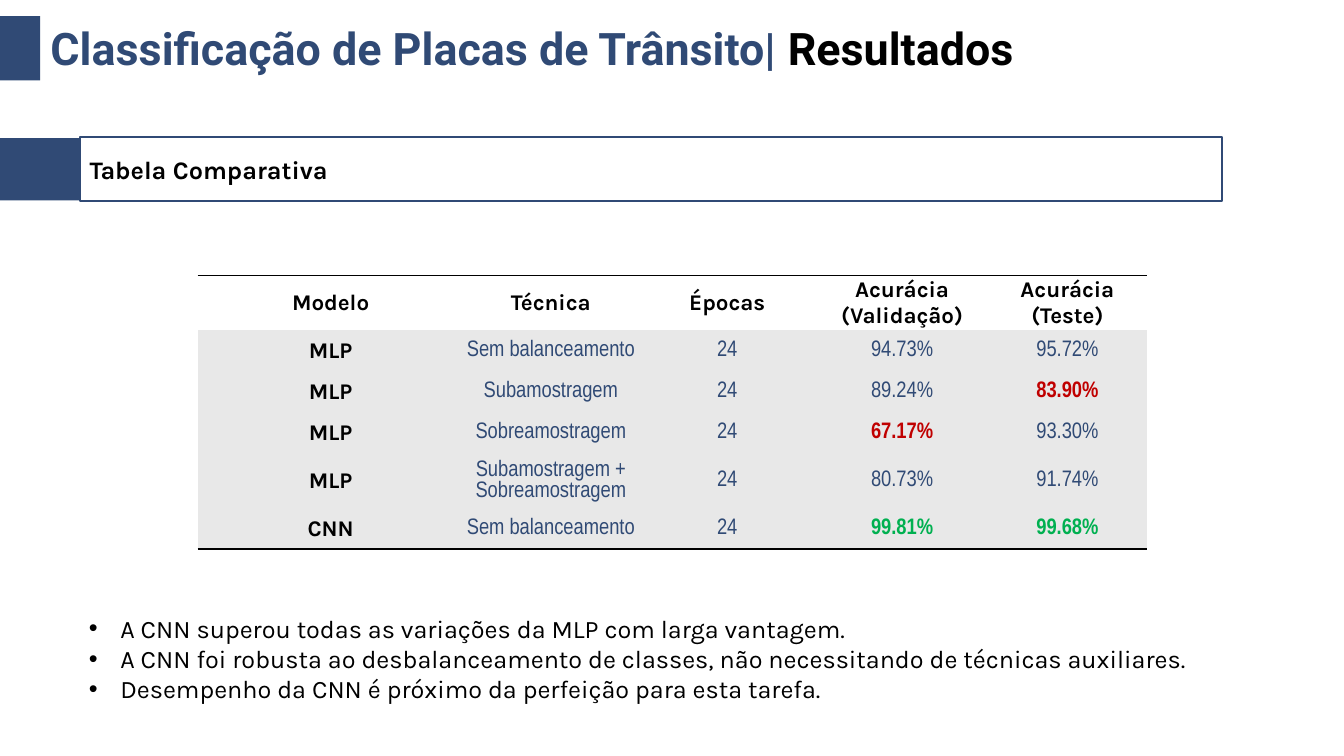
"""Build the results slide comparing traffic sign classifiers."""
from dataclasses import dataclass

from lxml import etree
from pptx import Presentation
from pptx import util as u
from pptx.dml import color
from pptx.enum import shapes, text
from pptx.oxml import ns


@dataclass(frozen=True)
class Theme:
    navy: str = "304A75"
    black: str = "000000"
    white: str = "FFFFFF"
    grey: str = "E8E8E8"
    worst: str = "C00000"
    best: str = "00B050"
    title_font: str = "Roboto"
    text_font: str = "Karla"
    value_font: str = "Arial Narrow"
    title_size: int = 32
    text_size: int = 18
    table_size: int = 16


theme = Theme()


def write(paragraph, content, *, size=theme.text_size, font=theme.text_font,
          colour=theme.black, bold=False, align=text.PP_ALIGN.LEFT):
    paragraph.alignment = align
    for number, line in enumerate(content.split("\n")):
        if number:
            paragraph.add_line_break()
        run = paragraph.add_run()
        run.text = line
        run.font.size = u.Pt(size)
        run.font.name = font
        run.font.bold = bold
        run.font.color.rgb = color.RGBColor.from_string(colour)


def place(shape, left, top, width, height):
    shape.left, shape.top = u.Pt(left), u.Pt(top)
    shape.width, shape.height = u.Pt(width), u.Pt(height)
    shape.text_frame.auto_size = text.MSO_AUTO_SIZE.NONE
    shape.text_frame.vertical_anchor = text.MSO_ANCHOR.TOP
    shape.text_frame.word_wrap = True


presentation = Presentation()
presentation.slide_width, presentation.slide_height = u.Pt(960), u.Pt(540)
slide = presentation.slides.add_slide(presentation.slide_layouts[1])

title = slide.shapes.title
place(title, 28.8, 11.5, 915.8, 46)
heading = title.text_frame.paragraphs[0]
for content, colour in (("Classificação de Placas de Trânsito| ", theme.navy),
                        ("Resultados", theme.black)):
    write(heading, content, size=theme.title_size, font=theme.title_font,
          colour=colour, bold=True)

for left, top, width, height, fill in ((0, 11.5, 28.8, 46, theme.navy),
                                       (-0.7, 98.6, 57.6, 44.6, theme.navy),
                                       (56.9, 97.9, 815.8, 46, theme.white)):
    bar = slide.shapes.add_shape(shapes.MSO_SHAPE.RECTANGLE, u.Pt(left), u.Pt(top),
                                 u.Pt(width), u.Pt(height))
    bar.shadow.inherit = False
    bar.fill.solid()
    bar.fill.fore_color.rgb = color.RGBColor.from_string(fill)
    bar.line.fill.background()
subtitle_box = bar
subtitle_box.line.color.rgb = color.RGBColor.from_string(theme.navy)
subtitle_box.line.width = u.Pt(1.5)
subtitle_box.text_frame.vertical_anchor = text.MSO_ANCHOR.MIDDLE
write(subtitle_box.text_frame.paragraphs[0], "Tabela Comparativa", bold=True)

rows = [
    ("Modelo", "Técnica", "Épocas", "Acurácia\n(Validação)", "Acurácia\n(Teste)"),
    ("MLP", "Sem balanceamento", "24", "94.73%", "95.72%"),
    ("MLP", "Subamostragem", "24", "89.24%", "83.90%"),
    ("MLP", "Sobreamostragem", "24", "67.17%", "93.30%"),
    ("MLP", "Subamostragem + Sobreamostragem", "24", "80.73%", "91.74%"),
    ("CNN", "Sem balanceamento", "24", "99.81%", "99.68%"),
]
highlights = {"83.90%": theme.worst, "67.17%": theme.worst,
              "99.81%": theme.best, "99.68%": theme.best}
column_widths = (190.1, 124.6, 127.4, 122.4, 113.8)
row_heights = (39.2, 29.3, 29.3, 29.3, 39.2, 29.3)
borders = {0: "a:lnT", len(rows) - 1: "a:lnB"}

frame = slide.shapes.add_table(len(rows), len(column_widths), u.Pt(141.1), u.Pt(196.6),
                               u.Pt(sum(column_widths)), u.Pt(sum(row_heights)))
table = frame.table
table.first_row = table.horz_banding = False
style = next(frame._element.iter(ns.qn("a:tableStyleId")))
style.text = "{2D5ABB26-0587-4C30-8999-92F81FD0307C}"
for column, width in zip(table.columns, column_widths):
    column.width = u.Pt(width)

for row_index, values in enumerate(rows):
    table.rows[row_index].height = u.Pt(row_heights[row_index])
    for column_index, value in enumerate(values):
        cell = table.cell(row_index, column_index)
        cell.margin_left = cell.margin_right = cell.margin_top = u.Pt(0.7)
        cell.margin_bottom = u.Pt(0)
        cell.vertical_anchor = text.MSO_ANCHOR.MIDDLE
        is_label = row_index == 0 or column_index == 0
        write(cell.text_frame.paragraphs[0], value, size=theme.table_size,
              font=theme.text_font if is_label else theme.value_font,
              colour=theme.black if is_label else highlights.get(value, theme.navy),
              bold=is_label or value in highlights, align=text.PP_ALIGN.CENTER)
        if row_index in borders:
            border = etree.SubElement(cell._tc.get_or_add_tcPr(),
                                      ns.qn(borders[row_index]), w=str(u.Pt(0.96)))
            line_fill = etree.SubElement(border, ns.qn("a:solidFill"))
            etree.SubElement(line_fill, ns.qn("a:srgbClr"), val=theme.black)
        if row_index:
            cell.fill.solid()
            cell.fill.fore_color.rgb = color.RGBColor.from_string(theme.grey)
        else:
            cell.fill.background()

findings = (
    "A CNN superou todas as variações da MLP com larga vantagem.",
    "A CNN foi robusta ao desbalanceamento de classes, não necessitando de técnicas auxiliares.",
    "Desempenho da CNN é próximo da perfeição para esta tarefa.",
)
body = slide.placeholders[1]
place(body, 56.2, 434.2, 815.8, 72.7)
for index, finding in enumerate(findings):
    paragraph = body.text_frame.add_paragraph() if index else body.text_frame.paragraphs[0]
    properties = paragraph._p.get_or_add_pPr()
    properties.set("marL", str(u.Pt(22.5)))
    properties.set("indent", str(u.Pt(-22.5)))
    bullet_colour = etree.SubElement(properties, ns.qn("a:buClr"))
    etree.SubElement(bullet_colour, ns.qn("a:srgbClr"), val=theme.black)
    etree.SubElement(properties, ns.qn("a:buFont"), typeface="Arial")
    etree.SubElement(properties, ns.qn("a:buChar"), char="•")
    paragraph.space_before = u.Pt(0)
    write(paragraph, finding)

presentation.save("out.pptx")
